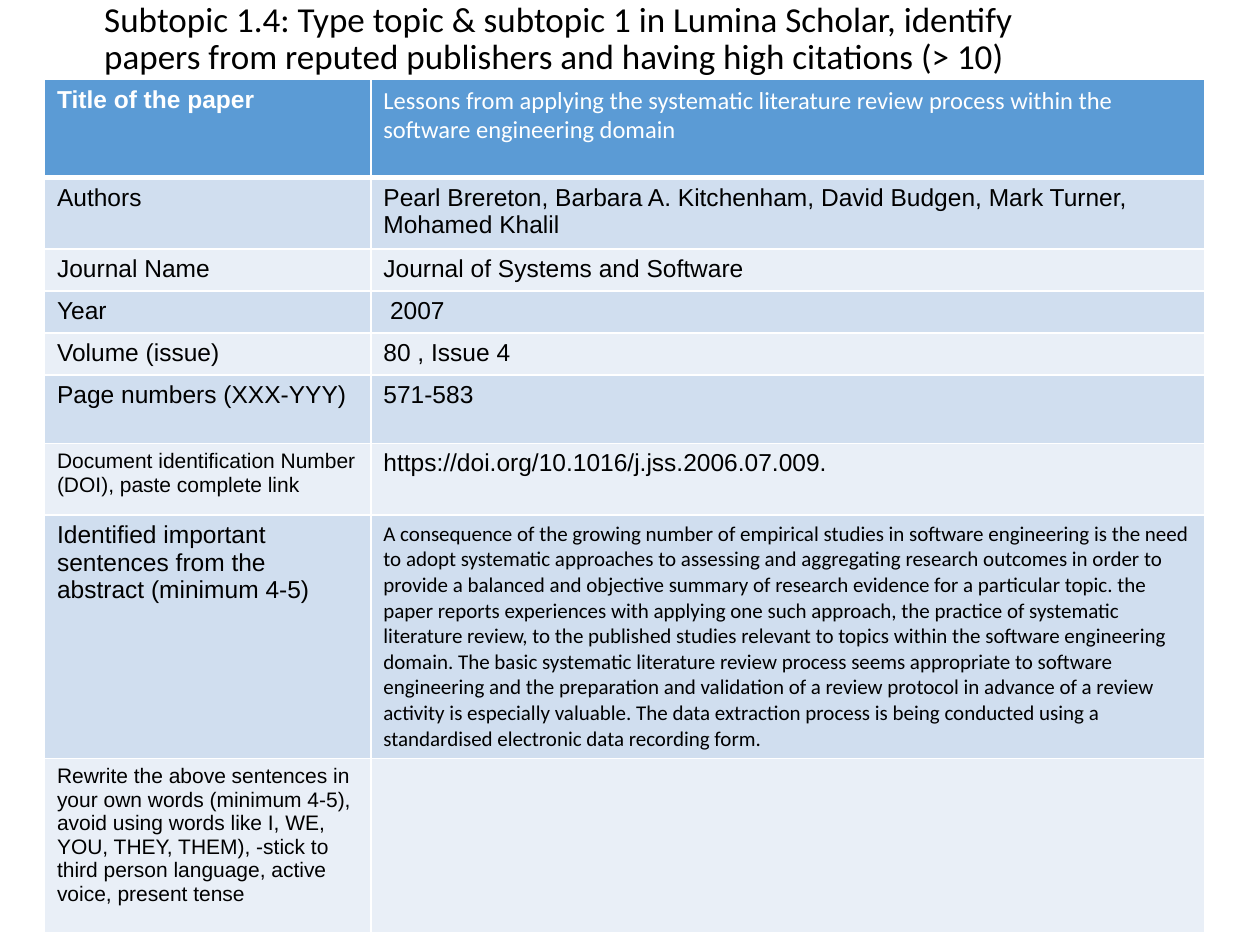
from lxml import etree
from pptx import Presentation
from pptx.dml.color import RGBColor
from pptx.enum.text import MSO_ANCHOR
from pptx.oxml.ns import qn
from pptx.util import Pt

MIDDLE = MSO_ANCHOR.MIDDLE
COLORS = {"header": "5B9BD5", "dark band": "D0DEEF", "light band": "E9EFF7",
          "white": "FFFFFF", "black": "000000"}

TITLE = ("Subtopic 1.4: Type topic & subtopic 1 in Lumina Scholar, identify "
         "papers from reputed publishers and having high citations (> 10)")
ABSTRACT = (
    "A consequence of the growing number of empirical studies in software "
    "engineering is the need to adopt systematic approaches to assessing and "
    "aggregating research outcomes in order to provide a balanced and objective "
    "summary of research evidence for a particular topic. the paper reports "
    "experiences with applying one such approach, the practice of systematic "
    "literature review, to the published studies relevant to topics within the "
    "software engineering domain. The basic systematic literature review process "
    "seems appropriate to software engineering and the preparation and validation "
    "of a review protocol in advance of a review activity is especially valuable. "
    "The data extraction process is being conducted using a standardised "
    "electronic data recording form.")
REWRITE = ("Rewrite the above sentences in your own words (minimum 4-5), avoid using "
           "words like I, WE, YOU, THEY, THEM), -stick to third person language, "
           "active voice, present tense")

BODY = {"name": "Arial", "size": Pt(14), "color": "black"}
SMALL = {**BODY, "size": Pt(12)}
HEADING = {**BODY, "bold": True, "color": "white"}
PAPER = {"name": "Calibri", "size": Pt(14), "bold": False, "color": "white"}
QUOTE = {"name": "Calibri", "size": Pt(12), "color": "black"}
TITLE_FONT = {"name": "Calibri", "size": Pt(20), "color": "black"}

# Row height, label, label font, entry, entry font
PAPER_ROWS = [
    (56, "Title of the paper", HEADING,
     "Lessons from applying the systematic literature review process within the "
     "software engineering domain", PAPER),
    (39, "Authors", BODY,
     "Pearl Brereton, Barbara A. Kitchenham, David Budgen, Mark Turner, "
     "Mohamed Khalil", BODY),
    (23, "Journal Name", BODY, "Journal of Systems and Software", BODY),
    (23, "Year", BODY, "2007", BODY),
    (23, "Volume (issue)", BODY, "80 , Issue 4", BODY),
    (39, "Page numbers (XXX-YYY)", BODY, "571-583", BODY),
    (41, "Document identification Number (DOI), paste complete link", SMALL,
     "https://doi.org/10.1016/j.jss.2006.07.009.", BODY),
    (139, "Identified important sentences from the abstract (minimum 4-5)", BODY,
     ABSTRACT, QUOTE),
    (100, REWRITE, SMALL, "", BODY),
]
COLUMN_WIDTHS = (186.5, 476.6)
YEAR_ROW = 3


def rgb(color):
    return RGBColor.from_string(COLORS[color])


def write(paragraph, words, style):
    paragraph.text = words
    for key, value in style.items():
        if key == "color":
            paragraph.font.color.rgb = rgb(value)
        else:
            setattr(paragraph.font, key, value)


def add_borders(cell, bottom_width):
    """White lines on all four sides; they must precede the fill."""
    properties = cell._tc.get_or_add_tcPr()
    widths = {"a:lnL": 1, "a:lnR": 1, "a:lnT": 1, "a:lnB": bottom_width}
    for side, width in widths.items():
        line = etree.SubElement(properties, qn(side), w=str(Pt(width)))
        solid = etree.SubElement(line, qn("a:solidFill"))
        etree.SubElement(solid, qn("a:srgbClr"), val=COLORS["white"])


def fill_cell(cell, words, style, band, bottom_width):
    add_borders(cell, bottom_width)
    cell.fill.solid()
    cell.fill.fore_color.rgb = rgb(band)
    write(cell.text_frame.paragraphs[0], words, style)


def add_title(slide):
    frame = slide.shapes.add_textbox(Pt(52.5), Pt(0), Pt(568), Pt(45.4)).text_frame
    frame.word_wrap = True
    frame.vertical_anchor = MIDDLE
    heading = frame.paragraphs[0]
    heading.line_spacing = 0.9
    write(heading, TITLE, TITLE_FONT)


def add_paper_table(slide):
    height = sum(row[0] for row in PAPER_ROWS)
    table = slide.shapes.add_table(
        len(PAPER_ROWS), len(COLUMN_WIDTHS), Pt(25.4), Pt(45.4),
        Pt(sum(COLUMN_WIDTHS)), Pt(height)).table
    for column, width in zip(table.columns, COLUMN_WIDTHS):
        column.width = Pt(width)
    for index, (height, label, label_font, entry, entry_font) in enumerate(PAPER_ROWS):
        table.rows[index].height = Pt(height)
        if index == 0:
            band, bottom_width = "header", 3
        else:
            band, bottom_width = ("dark band" if index % 2 else "light band"), 1
        fill_cell(table.cell(index, 0), label, label_font, band, bottom_width)
        fill_cell(table.cell(index, 1), entry, entry_font, band, bottom_width)
    table.cell(YEAR_ROW, 1).margin_left = Pt(11)


def main():
    deck = Presentation()
    deck.slide_width, deck.slide_height = Pt(720), Pt(540)
    slide = deck.slides.add_slide(deck.slide_layouts[6])
    add_title(slide)
    add_paper_table(slide)
    deck.save("out.pptx")


if __name__ == "__main__":
    main()
